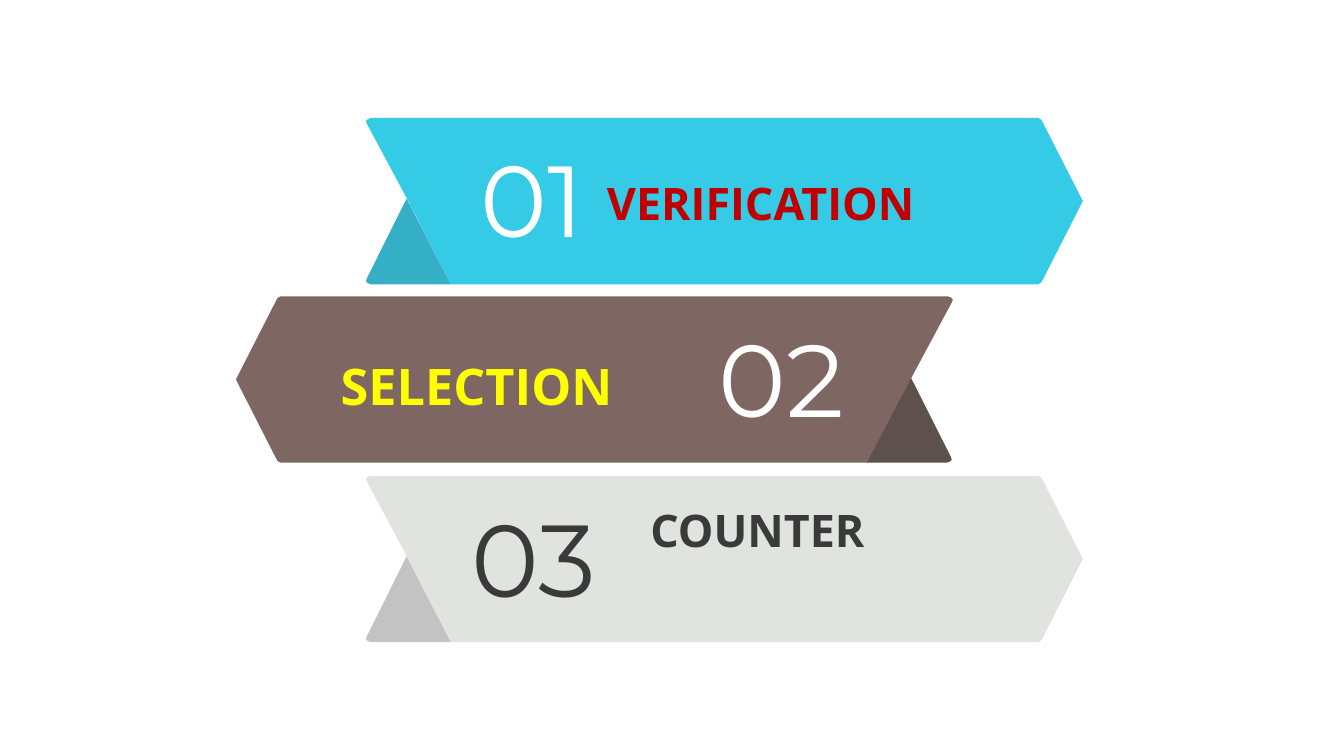
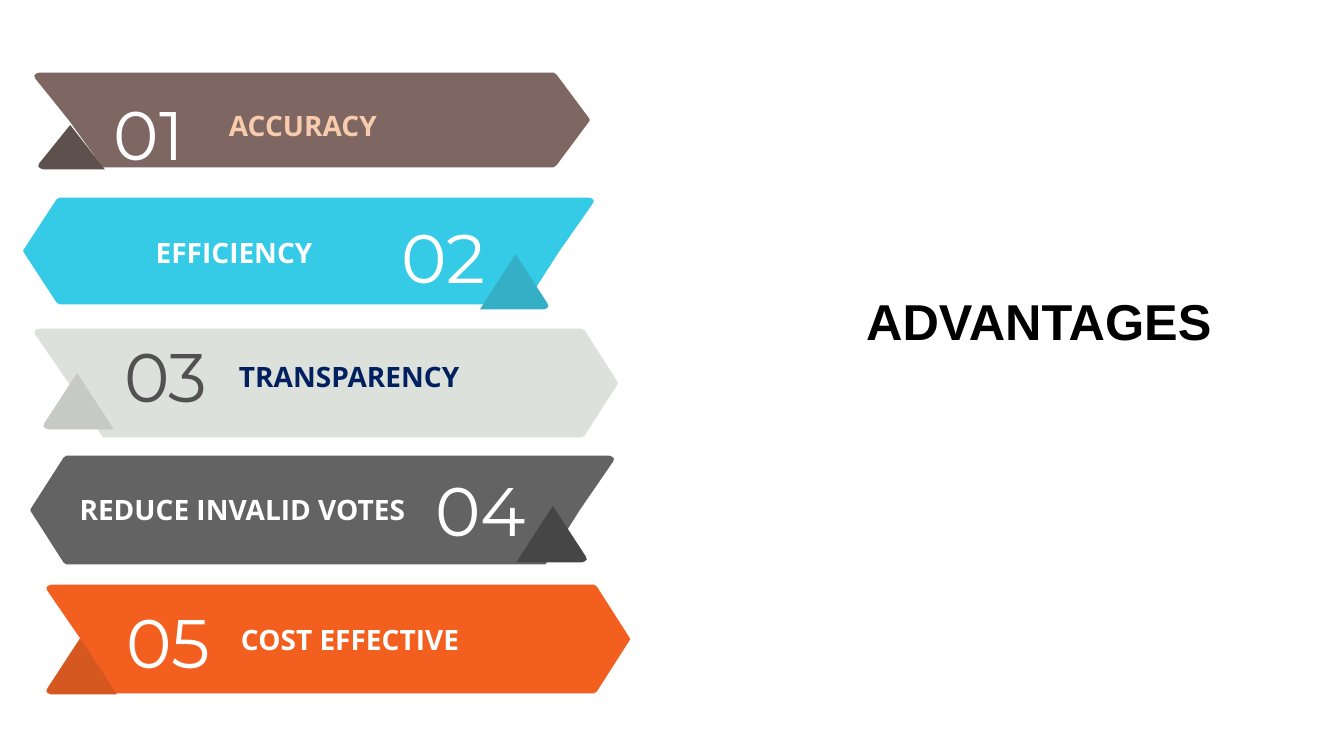
from pptx import Presentation
from pptx.dml.color import RGBColor as RGB
from pptx.enum.text import PP_ALIGN as Align
from pptx.util import Inches, Pt

HUES = {
    "sky": "35CAE6", "sky fold": "34AFC6", "brown": "7E6762", "brown fold": "5E504C",
    "pale": "E0E3DE", "pale fold": "C3C3C3", "gray": "636363", "gray fold": "464646",
    "orange": "F25F1E", "orange fold": "D55821", "mist": "DDE1DB", "mist fold": "C6C9C4",
    "white": "FFFFFF", "black": "000000", "ink": "3A3A3A", "soft": "515151",
    "red": "C00000", "yellow": "FFFF00", "peach": "F8CBAD", "navy": "002060",
}
NUM, WORD, HEAD = "Montserrat", "Open Sans", "Arial"

# Each band: hue, band box, fold box, number (size, hue, left, top),
# label (text, size, hue, left, top, width, align)
STEPS = [
    ("sky", (3.63, 1.17, 7.11, 1.65), (3.63, 1.97, 0.84, 0.85),
     (72, "white", 4.77, 1.36),
     ("VERIFICATION", 32, "red", 6.02, 1.74, 3.43, Align.LEFT)),
    ("brown", (2.34, 2.94, 7.11, 1.65), (8.6, 3.75, 0.84, 0.84),
     (73, "white", 7.13, 3.13),
     ("SELECTION", 36, "yellow", 3.38, 3.52, 3.66, Align.LEFT)),
    ("pale", (3.63, 4.72, 7.11, 1.65), (3.63, 5.52, 0.84, 0.85),
     (73, "ink", 4.68, 4.91),
     ("COUNTER", 32, "ink", 6.45, 4.99, 2.57, Align.LEFT)),
]
GAINS = [
    ("brown", (0.34, 0.72, 5.51, 0.94), (0.38, 1.24, 0.66, 0.44),
     (49, "white", 1.13, 0.91),
     ("ACCURACY", 20, "peach", 2.27, 1.08, 1.65, Align.LEFT)),
    ("sky", (0.23, 1.96, 5.66, 1.06), (4.76, 2.52, 0.68, 0.55),
     (49, "white", 3.98, 2.13),
     ("EFFICIENCY", 20, "white", 1.1, 2.34, 2, Align.RIGHT)),
    ("mist", (0.34, 3.26, 5.79, 1.08), (0.43, 3.7, 0.7, 0.56),
     (49, "soft", 1.23, 3.31),
     ("TRANSPARENCY", 20, "navy", 2.37, 3.57, 2.42, Align.LEFT)),
    ("gray", (0.3, 4.52, 5.79, 1.08), (5.12, 5.02, 0.7, 0.56),
     (49, "white", 4.32, 4.64),
     ("REDUCE INVALID VOTES", 20, "white", 0.56, 4.89, 3.46, Align.RIGHT)),
    ("orange", (0.46, 5.8, 5.79, 1.08), (0.46, 6.33, 0.7, 0.56),
     (49, "white", 1.25, 5.95),
     ("COST EFFECTIVE", 20, "white", 2.39, 6.18, 2.63, Align.LEFT)),
]
SLIDES = [(STEPS, 0.42), (GAINS, 0.34)]  # bands and depth of their points


def color(key):
    return RGB.from_string(HUES[key])


def outline(slide, box, dots, hue, flip):
    """Draw a closed outline from dots inside box, mirrored if flip."""
    x, y, w, h = box
    dots = [(Inches(x + (w - a if flip else a)), Inches(y + b)) for a, b in dots]
    pen = slide.shapes.build_freeform(*dots[0], scale=1.0)
    pen.add_line_segments(dots[1:], close=True)
    shape = pen.convert_to_shape()
    shape.shadow.inherit = False
    shape.fill.solid()
    shape.fill.fore_color.rgb = color(hue)
    shape.line.fill.background()


def ribbon(slide, hue, box, fold, depth, flip):
    """Draw a band with a point and a notch, then its folded corner."""
    w, h = box[2:]
    neck, mid = w - depth, h / 2
    band = [(0.05, 0), (neck - 0.02, 0), (neck + 0.01, 0.02),
            (w - 0.01, mid - 0.02), (w, mid), (w - 0.01, mid + 0.02),
            (neck + 0.01, h - 0.02), (neck - 0.02, h),
            (2 * depth, h), (depth, mid), (0.01, 0.06), (0, 0.03), (0.02, 0.01)]
    outline(slide, box, band, hue, flip)
    w, h = fold[2:]
    flap = [(0.48 * w, 0), (0.01, h - 0.06), (0, h - 0.03), (0.02, h - 0.01),
            (0.05, h), (w, h)]
    outline(slide, fold, flap, hue + " fold", flip)


def write(slide, text, box, size, face, hue, align=Align.LEFT, bold=True):
    frame = slide.shapes.add_textbox(*map(Inches, box)).text_frame
    frame.word_wrap = True
    frame.margin_left = frame.margin_right = 0
    frame.margin_top = frame.margin_bottom = 0
    para = frame.paragraphs[0]
    para.text, para.alignment = text, align
    font = para.font
    font.size, font.name, font.bold = Pt(size), face, bold
    font.color.rgb = color(hue)


def main():
    deck = Presentation()
    deck.slide_width, deck.slide_height = Inches(13.33), Inches(7.5)
    for bands, depth in SLIDES:
        slide = deck.slides.add_slide(deck.slide_layouts[6])
        for i, (hue, box, fold, num, label) in enumerate(bands):
            ribbon(slide, hue, box, fold, depth, flip=i % 2 == 1)
            size, ink, x, y = num
            write(slide, f"{i + 1:02}", (x, y, size / 38, size / 50),
                  size, NUM, ink, bold=False)
            text, size, ink, x, y, w, align = label
            write(slide, text, (x, y, w, size / 50), size, WORD, ink, align)
    # Heading of the last slide
    write(slide, "ADVANTAGES", (8.59, 2.88, 3.95, 0.6), 36, HEAD, "black")
    deck.save("out.pptx")


if __name__ == "__main__":
    main()
